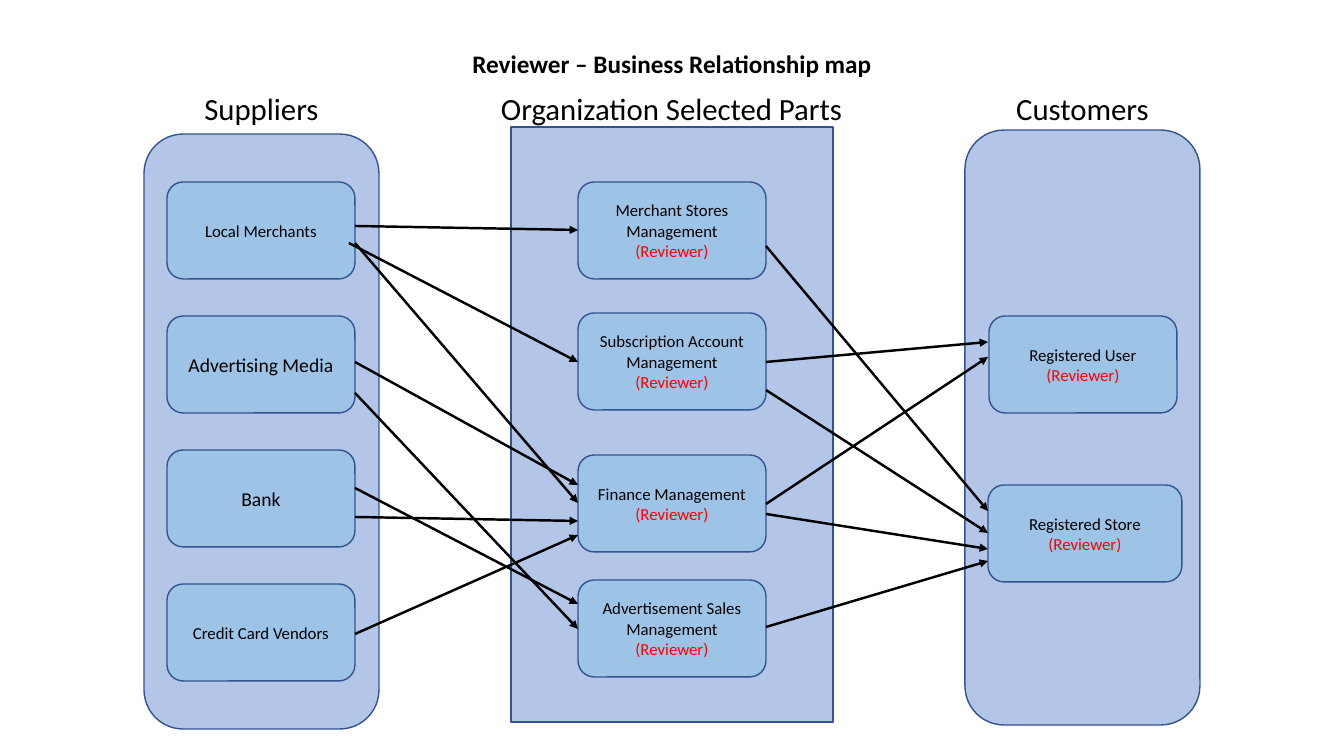
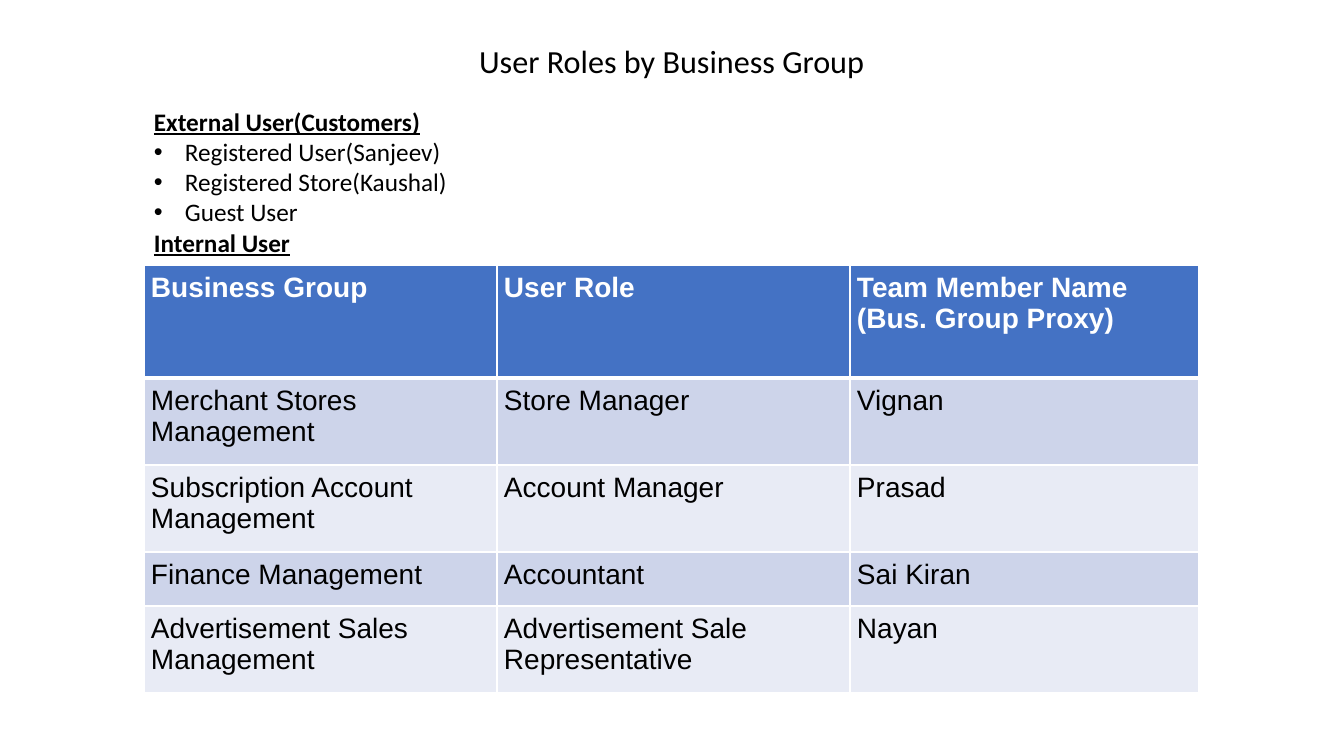
from lxml.etree import SubElement
from pptx import Presentation
from pptx.dml.color import RGBColor
from pptx.enum.shapes import MSO_CONNECTOR, MSO_SHAPE
from pptx.enum.text import MSO_ANCHOR, PP_ALIGN
from pptx.oxml.ns import qn
from pptx.util import Emu, Pt

BLACK = RGBColor(0x00, 0x00, 0x00)
WHITE = RGBColor(0xFF, 0xFF, 0xFF)
RED = RGBColor(0xFF, 0x00, 0x00)
BLUE = RGBColor(0x44, 0x72, 0xC4)
OUTLINE = RGBColor(0x32, 0x53, 0x8F)
SKY = RGBColor(0x9D, 0xC3, 0xE6)
BAND_DARK = RGBColor(0xCD, 0xD4, 0xEA)
BAND_LIGHT = RGBColor(0xE8, 0xEB, 0xF5)


def px(*values):
    return [Emu(round(value * 914400 / 100.8)) for value in values]


def write(frame, lines, size, align=PP_ALIGN.CENTER, font="Calibri", bold=False, side=5):
    frame.word_wrap = True
    frame.margin_left, frame.margin_right = px(side, side)
    frame.margin_top, frame.margin_bottom = px(5, 5)
    for index, (text, color) in enumerate(lines):
        para = frame.add_paragraph() if index else frame.paragraphs[0]
        para.alignment = align
        span = para.add_run()
        span.text = text
        span.font.name = font
        span.font.size = Pt(size)
        span.font.bold = bold
        span.font.color.rgb = color


deck = Presentation()
deck.slide_width, deck.slide_height = px(1344, 756)
blank = deck.slide_layouts[6]

page = deck.slides.add_slide(blank)
title = page.shapes.add_textbox(*px(341, 43, 662, 36))
write(title.text_frame, [("Reviewer – Business Relationship map", BLACK)], 18, bold=True)

for text, left, width in [
    ("Suppliers", 149, 225),
    ("Organization Selected Parts", 490, 363),
    ("Customers", 970, 225),
]:
    heading = page.shapes.add_textbox(*px(left, 85, width, 42))
    write(heading.text_frame, [(text, BLACK)], 22)

panels = [
    (MSO_SHAPE.ROUNDED_RECTANGLE, 144, 134, 235),
    (MSO_SHAPE.RECTANGLE, 511, 127, 322),
    (MSO_SHAPE.ROUNDED_RECTANGLE, 965, 130, 235),
]
for kind, left, top, width in panels:
    panel = page.shapes.add_shape(kind, *px(left, top, width, 595))
    panel.shadow.inherit = False
    panel.fill.solid()
    panel.fill.fore_color.rgb = BLUE
    fill_color = panel._element.spPr.find(qn("a:solidFill")).find(qn("a:srgbClr"))
    SubElement(fill_color, qn("a:alpha"), val="40000")
    panel.line.color.rgb = OUTLINE
    panel.line.width = Pt(1)

suppliers = [
    ("Local Merchants", 12),
    ("Advertising Media", 14),
    ("Bank", 14),
    ("Credit Card Vendors", 12),
]
boxes = [
    (name, size, 167, 182 + 134 * row, 188, False)
    for row, (name, size) in enumerate(suppliers)
]
boxes += [
    ("Merchant Stores Management", 12, 578, 182, 188, True),
    ("Subscription Account Management", 12, 578, 313, 188, True),
    ("Finance Management", 12, 578, 455, 188, True),
    ("Advertisement Sales Management", 12, 578, 580, 188, True),
    ("Registered User", 12, 989, 316, 188, True),
    ("Registered Store", 12, 988, 485, 194, True),
]
for name, size, left, top, width, reviewed in boxes:
    box = page.shapes.add_shape(MSO_SHAPE.ROUNDED_RECTANGLE, *px(left, top, width, 97))
    box.shadow.inherit = False
    box.fill.solid()
    box.fill.fore_color.rgb = SKY
    box.line.color.rgb = OUTLINE
    box.line.width = Pt(1)
    box.text_frame.vertical_anchor = MSO_ANCHOR.MIDDLE
    lines = [(name, BLACK)]
    if reviewed:
        lines.append(("(Reviewer)", RED))
    write(box.text_frame, lines, size, side=15)

supplier_routes = [
    (226, 230), (243, 503), (362, 485), (393, 629),
    (517, 521), (488, 604), (634, 535),
]
customer_routes = [
    (246, 511), (362, 342), (390, 533), (504, 357), (514, 549), (627, 561),
]
for start, end, routes in [
    (355, 578, supplier_routes),
    (349, 578, [(243, 362)]),
    (766, 988, customer_routes),
]:
    for start_y, end_y in routes:
        arrow = page.shapes.add_connector(
            MSO_CONNECTOR.STRAIGHT, *px(start, start_y, end, end_y)
        )
        arrow.line.color.rgb = BLACK
        arrow.line.width = Pt(1.75)
        properties = arrow._element.spPr
        SubElement(properties.find(qn("a:ln")), qn("a:tailEnd"), type="triangle")
        SubElement(properties, qn("a:effectLst"))

page = deck.slides.add_slide(blank)
title = page.shapes.add_textbox(*px(116, 19, 1112, 123))
write(title.text_frame, [("User Roles by Business Group", BLACK)], 23)
title.text_frame.vertical_anchor = MSO_ANCHOR.MIDDLE
title.text_frame.margin_bottom = px(40)[0]
title.text_frame.paragraphs[0].line_spacing = 0.9

roles = [
    ("Business Group", "User Role", "Team Member Name\n(Bus. Group Proxy)"),
    ("Merchant Stores Management", "Store Manager", "Vignan"),
    ("Subscription Account Management", "Account Manager", "Prasad"),
    ("Finance Management", "Accountant", "Sai Kiran"),
    ("Advertisement Sales Management", "Advertisement Sale Representative", "Nayan"),
]
table = page.shapes.add_table(5, 3, *px(144, 265, 1055, 428)).table
for column, width in zip(table.columns, px(353, 353, 349)):
    column.width = width
for row, height in zip(table.rows, px(113, 87, 87, 54, 87)):
    row.height = height
for row_index, names in enumerate(roles):
    header = row_index == 0
    fill = BLUE if header else BAND_DARK if row_index % 2 else BAND_LIGHT
    for column_index, name in enumerate(names):
        cell = table.cell(row_index, column_index)
        lines = [(text, WHITE if header else BLACK) for text in name.split("\n")]
        write(cell.text_frame, lines, 20, PP_ALIGN.LEFT, "Arial", header)
        cell.margin_left, cell.margin_right, cell.margin_top, cell.margin_bottom = px(7, 7, 7, 7)
        properties = cell._tc.get_or_add_tcPr()
        for side in ("L", "R", "T", "B"):
            thick = (row_index, side) in [(0, "B"), (1, "T")]
            border = SubElement(properties, qn("a:ln" + side), w=str(Pt(3 if thick else 1)))
            SubElement(SubElement(border, qn("a:solidFill")), qn("a:srgbClr"), val=str(WHITE))
        cell.fill.solid()
        cell.fill.fore_color.rgb = fill

users = [
    "External User(Customers)",
    "Registered User(Sanjeev)",
    "Registered Store(Kaushal)",
    "Guest User",
    "Internal User",
]
user_list = page.shapes.add_textbox(*px(149, 101, 379, 165))
write(user_list.text_frame, [(user, BLACK) for user in users], 18, PP_ALIGN.LEFT)
indent = px(31)[0]
for para in user_list.text_frame.paragraphs:
    if para.text in ("External User(Customers)", "Internal User"):
        para.runs[0].font.bold = True
        para.runs[0].font.underline = True
    else:
        properties = para._p.get_or_add_pPr()
        properties.set("marL", str(indent))
        properties.set("indent", str(-indent))
        SubElement(properties, qn("a:buFont"), typeface="Arial")
        SubElement(properties, qn("a:buChar"), char="•")

deck.save("out.pptx")
